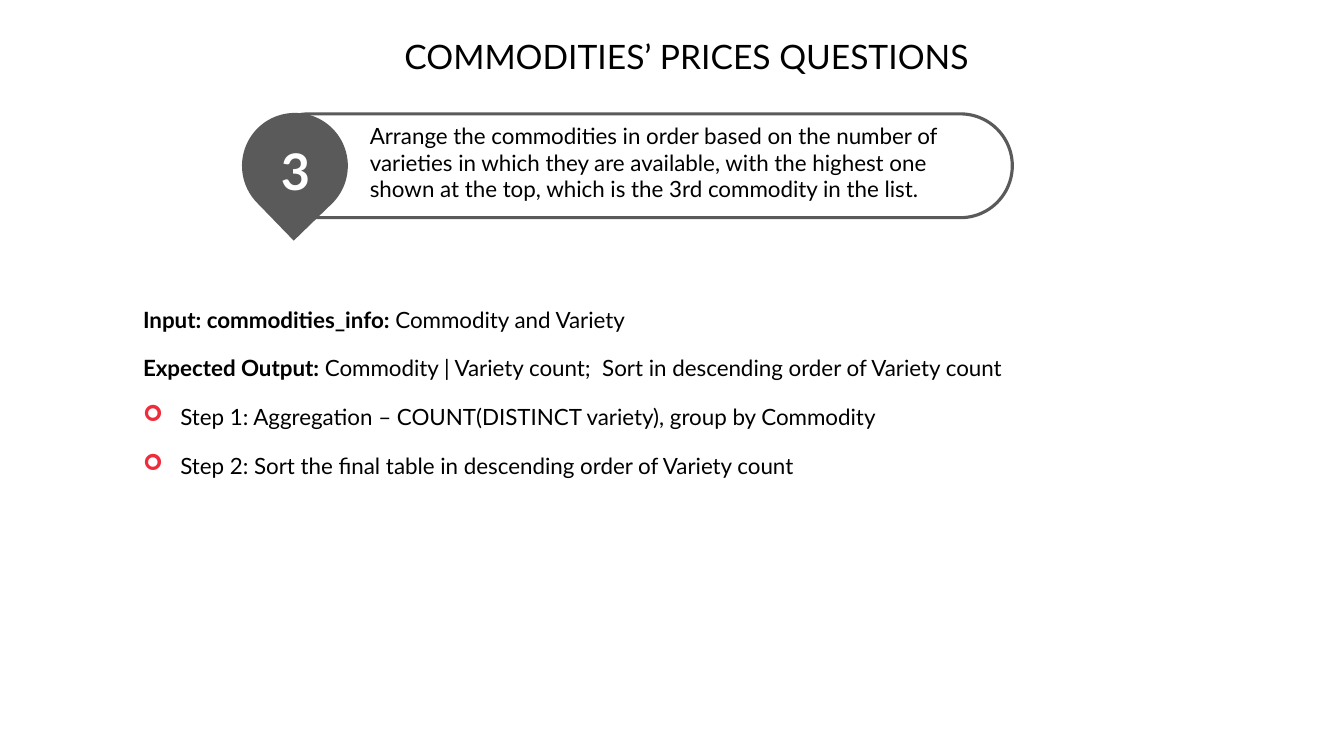
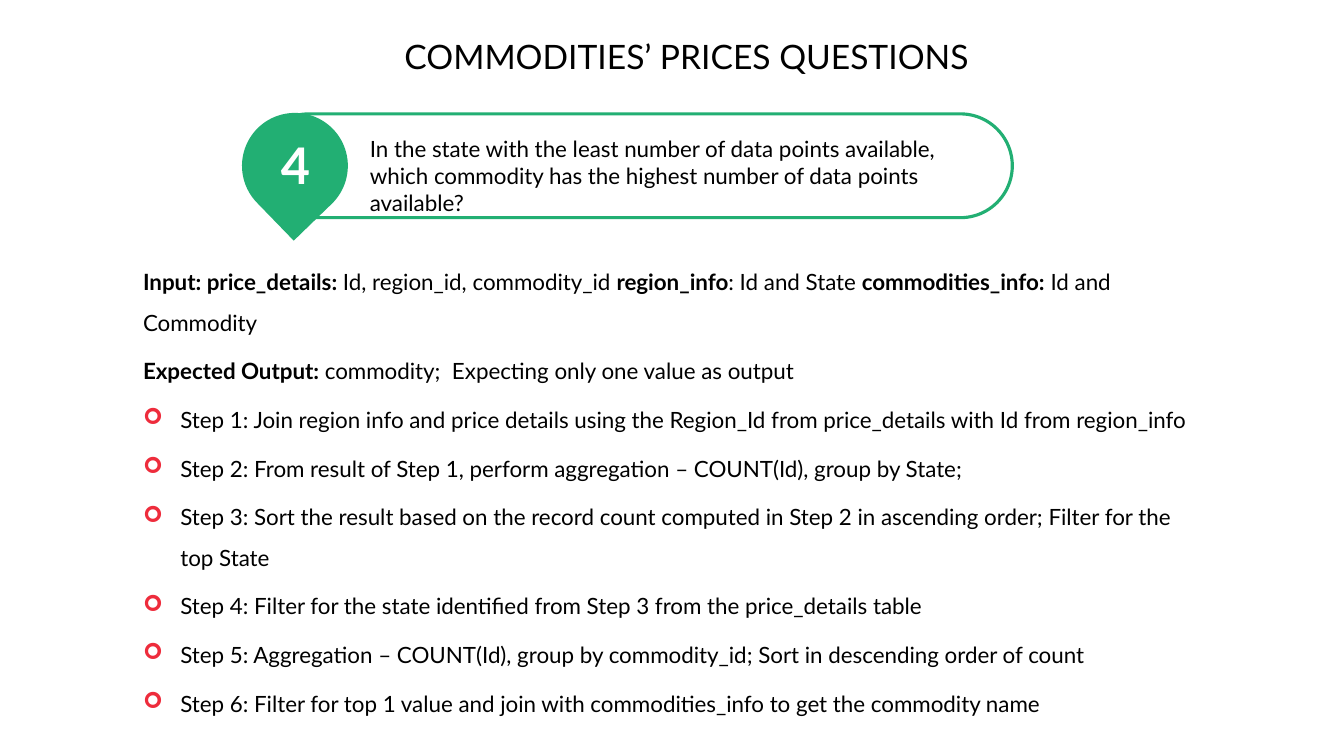
from dataclasses import dataclass

from lxml import etree
from pptx import Presentation
from pptx.dml.color import RGBColor
from pptx.enum.shapes import MSO_SHAPE
from pptx.enum.text import MSO_ANCHOR, MSO_AUTO_SIZE, PP_ALIGN
from pptx.oxml.ns import qn
from pptx.util import Inches, Pt

ROUNDED = MSO_SHAPE.ROUNDED_RECTANGLE
TEARDROP = MSO_SHAPE.TEAR
CENTER = PP_ALIGN.CENTER
TOP, MIDDLE = MSO_ANCHOR.TOP, MSO_ANCHOR.MIDDLE
FIXED, GROW = MSO_AUTO_SIZE.NONE, MSO_AUTO_SIZE.SHAPE_TO_FIT_TEXT

FONT = "Lato"
COLORS = {
    "text": "000000",
    "white": "FFFFFF",
    "bullet": "EE2C3C",
    "gray": "5A5A5A",
    "green": "22AF73",
}
TITLE = "COMMODITIES’ PRICES QUESTIONS"
# In the Wingdings symbol font this character is a hollow circle.
BULLET_FONT, BULLET = "Wingdings", "¢"
SYMBOL_CHARSET = "2"
BULLET_INDENT = 0.37
TITLE_ONLY_LAYOUT = 5


@dataclass(frozen=True)
class TextRun:
    text: str
    bold: bool = False


@dataclass(frozen=True)
class Question:
    number: str
    color: str
    text: str
    text_top: float
    number_top: float
    body_top: float
    body_height: float
    inputs: list[TextRun]
    output: str
    steps: list[str]


QUESTIONS = [
    Question(
        number="3",
        color="gray",
        text="Arrange the commodities in order based on the number of varieties in which "
        "they are available, with the highest one shown at the top, which is the 3rd "
        "commodity in the list.",
        text_top=1.16,
        number_top=1.33,
        body_top=2.85,
        body_height=1.92,
        inputs=[
            TextRun("Input: commodities_info: ", True),
            TextRun("Commodity and Variety"),
        ],
        output="Commodity | Variety count;  Sort in descending order of Variety count",
        steps=[
            "Aggregation – COUNT(DISTINCT variety), group by Commodity",
            "Sort the final table in descending order of Variety count",
        ],
    ),
    Question(
        number="4",
        color="green",
        text="In the state with the least number of data points available, which commodity "
        "has the highest number of data points available?",
        text_top=1.29,
        number_top=1.28,
        body_top=2.48,
        body_height=4.68,
        inputs=[
            TextRun("Input: price_details: ", True),
            TextRun("Id, region_id, commodity_id "),
            TextRun("region_info", True),
            TextRun(": Id and State "),
            TextRun("commodities_info:", True),
            TextRun(" Id and Commodity"),
        ],
        output="commodity;  Expecting only one value as output",
        steps=[
            "Join region info and price details using the Region_Id from price_details "
            "with Id from region_info",
            "From result of Step 1, perform aggregation – COUNT(Id), group by State;",
            "Sort the result based on the record count computed in Step 2 in ascending "
            "order; Filter for the top State",
            "Filter for the state identified from Step 3 from the price_details table",
            "Aggregation – COUNT(Id), group by commodity_id; Sort in descending order of count",
            "Filter for top 1 value and join with commodities_info to get the commodity name",
        ],
    ),
]


def rgb(name: str) -> RGBColor:
    return RGBColor.from_string(COLORS[name])


def add_runs(paragraph, runs: list[TextRun], size: int = 16, color: str = "text") -> None:
    for item in runs:
        run = paragraph.add_run()
        run.text = item.text
        run.font.name = FONT
        run.font.size = Pt(size)
        run.font.bold = item.bold
        run.font.color.rgb = rgb(color)


def add_text_frame(slide, left: float, top: float, width: float, height: float):
    """Add a wrapping text box that grows with its text and return its frame."""
    box = slide.shapes.add_textbox(Inches(left), Inches(top), Inches(width), Inches(height))
    frame = box.text_frame
    frame.word_wrap = True
    frame.auto_size = GROW
    return frame


def add_preset(slide, preset, left: float, top: float, width: float, height: float,
               fill: str, adjustment: float):
    """Add a filled preset shape without shadow or outline."""
    shape = slide.shapes.add_shape(
        preset, Inches(left), Inches(top), Inches(width), Inches(height)
    )
    shape.adjustments[0] = adjustment
    shape.shadow.inherit = False
    shape.fill.solid()
    shape.fill.fore_color.rgb = rgb(fill)
    shape.line.fill.background()
    return shape


def set_title(slide) -> None:
    title = slide.shapes.title
    title.left, title.top = Inches(2.26), Inches(0.31)
    title.width, title.height = Inches(9.1), Inches(0.57)
    frame = title.text_frame
    frame.auto_size = FIXED
    frame.vertical_anchor = TOP
    paragraph = frame.paragraphs[0]
    paragraph.alignment = CENTER
    add_runs(paragraph, [TextRun(TITLE)], size=24)


def add_question_banner(slide, question: Question) -> None:
    capsule = add_preset(slide, ROUNDED, 2.55, 1.13, 7.49, 1.03, "white", 0.5)
    capsule.line.color.rgb = rgb(question.color)
    capsule.line.width = Pt(2.25)

    paragraph = add_text_frame(slide, 3.57, question.text_top, 6.4, 0.96).paragraphs[0]
    paragraph.space_before = paragraph.space_after = Pt(2)
    add_runs(paragraph, [TextRun(question.text)])

    marker = add_preset(slide, TEARDROP, 2.4, 1.12, 1.05, 1.05, question.color, 1)
    marker.rotation = 135.9

    frame = add_text_frame(slide, 2.4, question.number_top, 1.06, 0.71)
    frame.vertical_anchor = MIDDLE
    paragraph = frame.paragraphs[0]
    paragraph.alignment = CENTER
    add_runs(paragraph, [TextRun(question.number, True)], size=36, color="white")


def add_bullet(paragraph) -> None:
    properties = paragraph._p.get_or_add_pPr()
    properties.set("marL", str(Inches(BULLET_INDENT)))
    properties.set("indent", str(-Inches(BULLET_INDENT)))
    bullet_color = etree.SubElement(properties, qn("a:buClr"))
    etree.SubElement(bullet_color, qn("a:srgbClr"), val=COLORS["bullet"])
    etree.SubElement(
        properties, qn("a:buFont"), typeface=BULLET_FONT, charset=SYMBOL_CHARSET
    )
    etree.SubElement(properties, qn("a:buChar"), char=BULLET)


def add_body(slide, question: Question) -> None:
    frame = add_text_frame(slide, 1.32, question.body_top, 10.69, question.body_height)
    paragraph = frame.paragraphs[0]
    paragraph.line_spacing = 1.5
    add_runs(paragraph, question.inputs)

    output = [TextRun("Expected Output: ", True), TextRun(question.output)]
    steps = [
        [TextRun(f"Step {number}: {step}")]
        for number, step in enumerate(question.steps, start=1)
    ]
    for index, runs in enumerate([output, *steps]):
        paragraph = frame.add_paragraph()
        paragraph.line_spacing = 1.5
        paragraph.space_before = Pt(6)
        if index > 0:
            add_bullet(paragraph)
        add_runs(paragraph, runs)


def main() -> None:
    presentation = Presentation()
    presentation.slide_width = Inches(13.33)
    presentation.slide_height = Inches(7.5)
    for question in QUESTIONS:
        slide = presentation.slides.add_slide(presentation.slide_layouts[TITLE_ONLY_LAYOUT])
        set_title(slide)
        add_question_banner(slide, question)
        add_body(slide, question)
    presentation.save("out.pptx")


if __name__ == "__main__":
    main()
